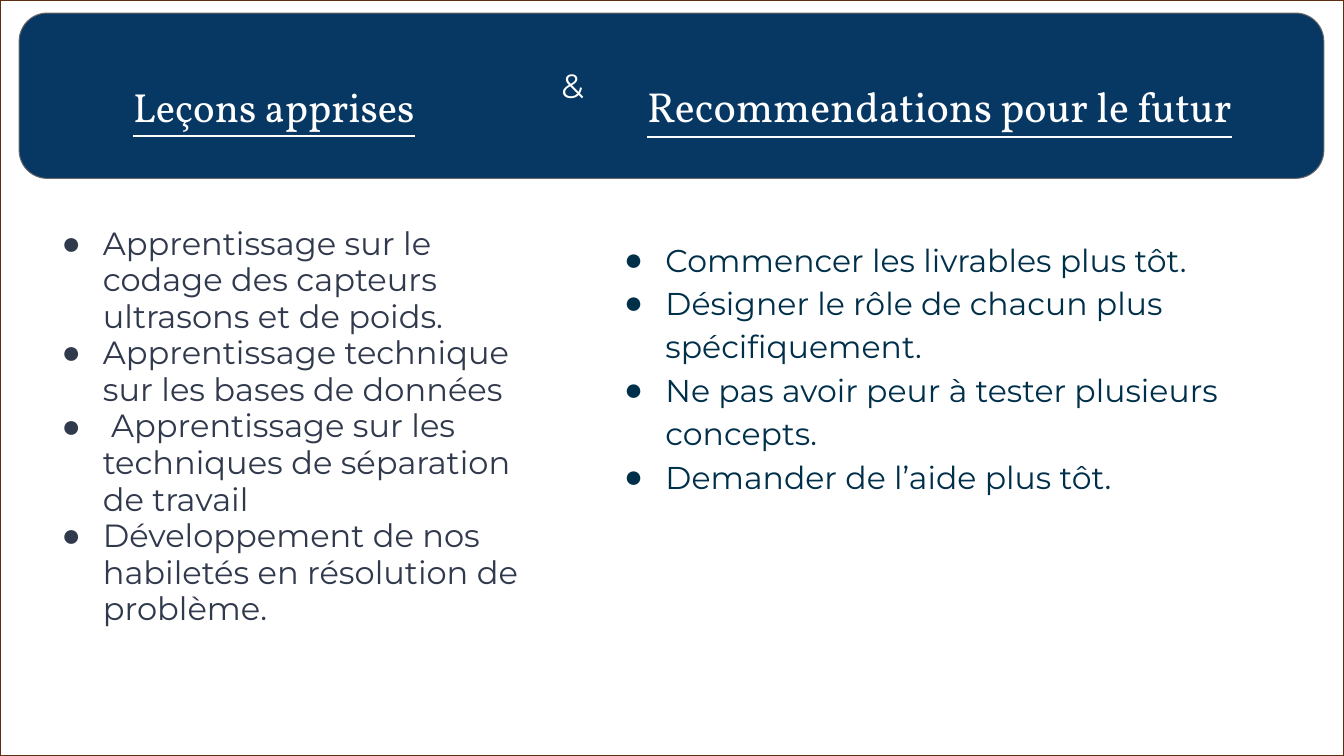
from lxml import etree
from pptx import Presentation
from pptx.dml.color import RGBColor
from pptx.enum import shapes, text
from pptx.oxml.ns import qn
from pptx.util import Inches, Pt

COLORS = {
    "white": "FFFFFF",
    "frame": "5E2E13",
    "banner": "073763",
    "banner_line": "666666",
    "lessons": "31394D",
    "advice": "002F4A",
}

LESSONS = [
    "Apprentissage sur le codage des capteurs ultrasons et de poids.",
    "Apprentissage technique sur les bases de données",
    " Apprentissage sur les techniques de séparation de travail",
    "Développement de nos habiletés en résolution de problème.",
]
ADVICE = [
    "Commencer les livrables plus tôt.",
    "Désigner le rôle de chacun plus spécifiquement.",
    "Ne pas avoir peur à tester plusieurs concepts.",
    "Demander de l’aide plus tôt.",
]


def rgb(name):
    return RGBColor.from_string(COLORS[name])


def place(sp, left, top, width, height):
    sp.left, sp.top = Inches(left), Inches(top)
    sp.width, sp.height = Inches(width), Inches(height)


def add_panel(s, kind, box, fill, line, weight, layer):
    sp = s.shapes.add_shape(kind, *map(Inches, box))
    sp.shadow.inherit = False
    sp.fill.solid()
    sp.fill.fore_color.rgb = rgb(fill)
    sp.line.color.rgb = rgb(line)
    sp.line.width = Pt(weight)
    s.shapes.element.insert(2 + layer, sp._element)
    return sp


def add_bullet(p, color):
    pPr = p._p.get_or_add_pPr()
    pPr.set("marL", str(Inches(0.5)))
    pPr.set("indent", str(Inches(-0.41)))
    clr = etree.SubElement(pPr, qn("a:buClr"))
    etree.SubElement(clr, qn("a:srgbClr"), val=COLORS[color])
    etree.SubElement(pPr, qn("a:buChar"), char="●")


def add_tab(p, position):
    tabs = etree.SubElement(p._p.get_or_add_pPr(), qn("a:tabLst"))
    etree.SubElement(tabs, qn("a:tab"), pos=str(Inches(position)), algn="l")


def write(sp, lines, font="Montserrat", size=24, color="white", spacing=1.0,
          inset=0.1, left_inset=None, underline=None, bullets=False, tab=None):
    tf = sp.text_frame
    tf.word_wrap = True
    tf.auto_size = text.MSO_AUTO_SIZE.NONE
    tf.vertical_anchor = text.MSO_ANCHOR.TOP
    tf.margin_top = tf.margin_right = tf.margin_bottom = Inches(inset)
    tf.margin_left = Inches(left_inset or inset)
    for i, line in enumerate(lines):
        p = tf.add_paragraph() if i else tf.paragraphs[0]
        if bullets:
            add_bullet(p, color)
        if tab:
            add_tab(p, tab)
        p.alignment = text.PP_ALIGN.LEFT
        p.line_spacing = spacing
        p.space_before = Pt(0)
        r = p.add_run()
        r.text = line
        r.font.name = font
        r.font.size = Pt(size)
        r.font.color.rgb = rgb(color)
        r.font.underline = underline


def add_label(s, box, label, **style):
    sp = s.shapes.add_textbox(*map(Inches, box))
    write(sp, [label], **style)


def main():
    prs = Presentation()
    prs.slide_width, prs.slide_height = Inches(13.33), Inches(7.5)
    s = prs.slides.add_slide(prs.slide_layouts[3])

    add_panel(s, shapes.MSO_SHAPE.RECTANGLE, (0, 0, 13.33, 7.5),
              "white", "frame", 1, layer=0)
    banner = add_panel(s, shapes.MSO_SHAPE.ROUNDED_RECTANGLE, (0.19, 0.13, 12.94, 1.64),
                       "banner", "banner_line", 0.75, layer=1)
    banner.adjustments[0] = 0.17

    title, lessons, advice = s.placeholders
    heading = dict(font="Vollkorn", spacing=1.5, underline=True)
    place(title, 0.32, 0.47, 5.19, 1.21)
    write(title, ["Leçons apprises\t"], size=29, left_inset=1, tab=3.19, **heading)
    add_label(s, (6.32, 0.45, 7.01, 1.26), "Recommendations pour le futur", size=30, **heading)
    add_label(s, (5.47, 0.54, 0.85, 0.53), "&")

    place(lessons, 0.39, 2.11, 5.06, 4.49)
    write(lessons, LESSONS, size=22.9, color="lessons", spacing=0.95, inset=0.13, bullets=True)
    place(advice, 5.97, 2.2, 6.84, 4.49)
    write(advice, ADVICE, size=22.5, color="advice", spacing=1.15, inset=0.13, bullets=True)

    prs.save("out.pptx")


if __name__ == "__main__":
    main()
